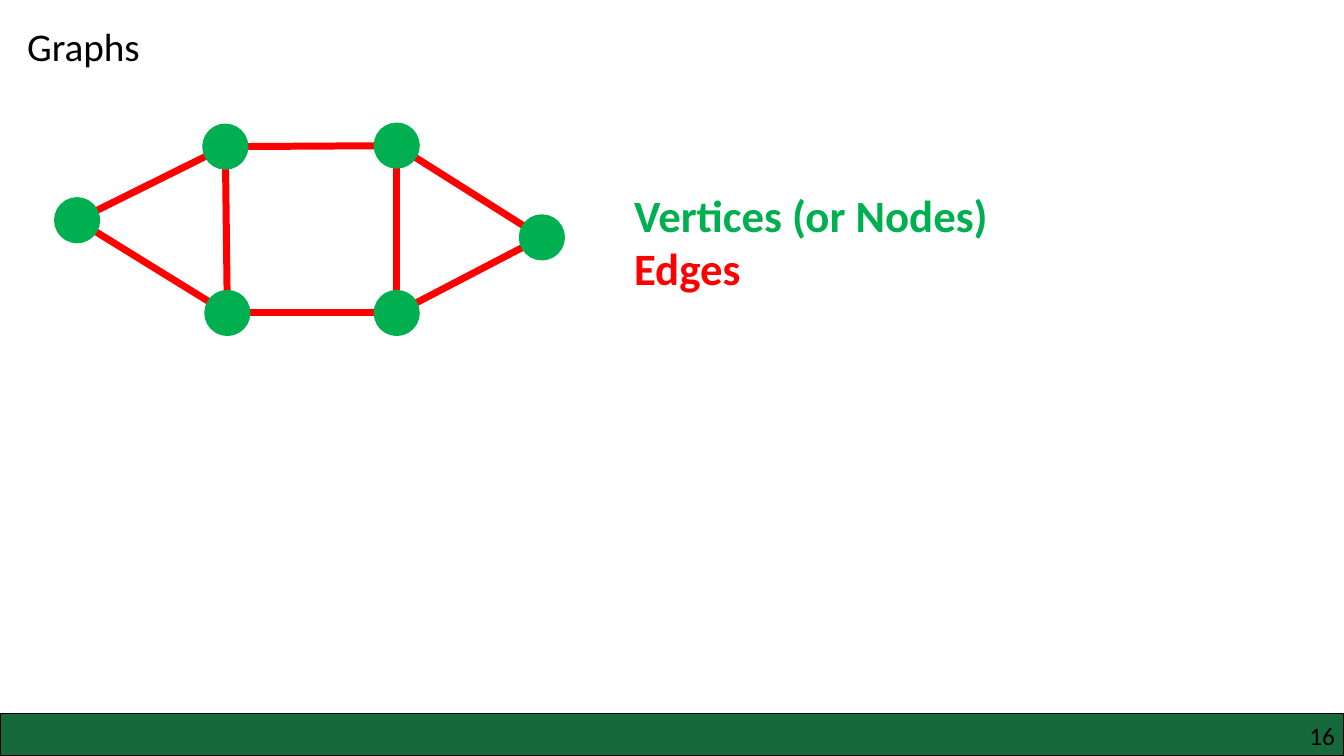
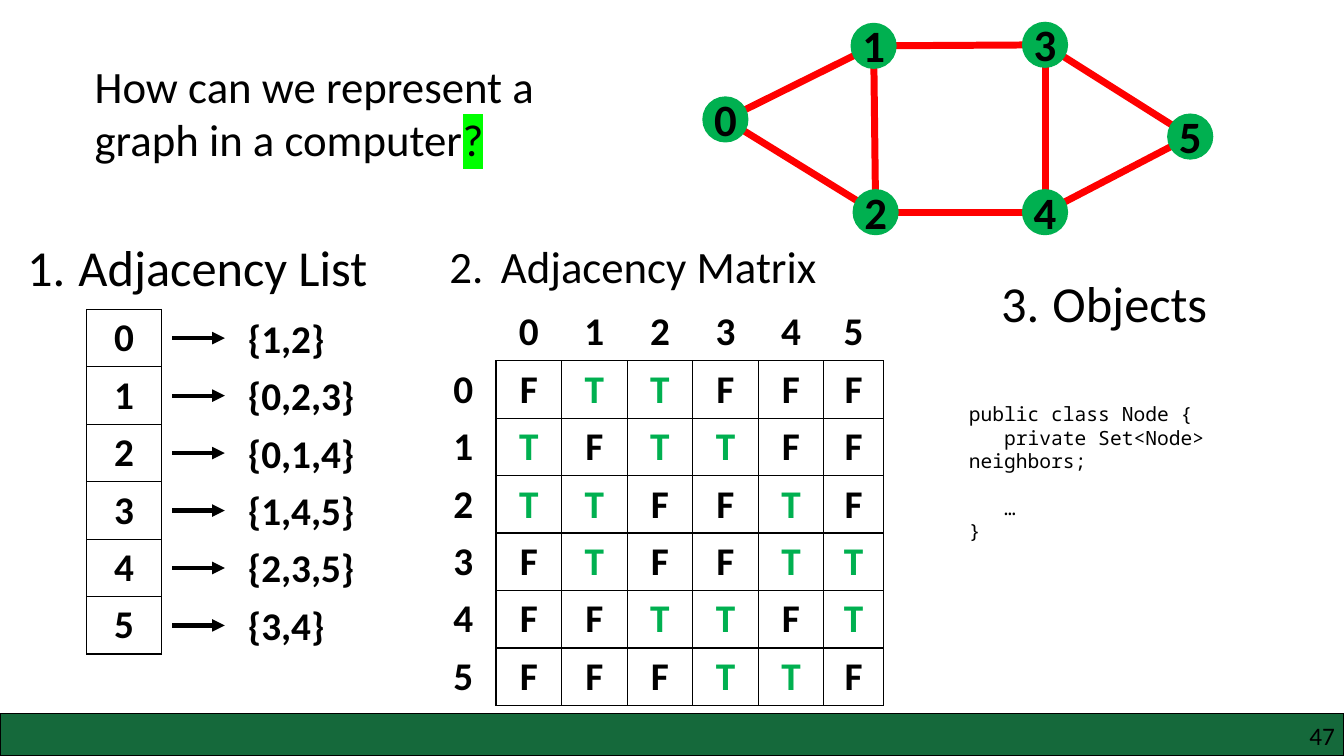
from lxml import etree
from pptx import Presentation
from pptx.dml.color import RGBColor
from pptx.enum.shapes import MSO_CONNECTOR as CONNECTOR, MSO_SHAPE as SHAPE
from pptx.enum.text import PP_ALIGN as ALIGN
from pptx.oxml.ns import qn
from pptx.util import Inches, Pt

BLACK, GREEN, RED = "000000", "00B050", "FF0000"
BAND, HIGHLIGHT = "15693B", "00FF00"
FONT, CODE_FONT = "Calibri", "Noto Sans Mono"
WIDTH, HEIGHT = 13.33, 7.5

NODES = [(0.55, 1.97), (2.02, 1.24), (2.04, 2.89),
         (3.72, 1.23), (3.72, 2.89), (5.16, 2.14)]
NODE_SIZE = 0.43
NEIGHBORS = [(1, 2), (0, 2, 3), (0, 1, 4), (1, 4, 5), (2, 3, 5), (3, 4)]
LABELED_OFFSET = (6.43, -1)

LEGEND = [("Vertices (or Nodes)", GREEN), ("Edges", RED)]
QUESTION = ("How can we represent a graph in a computer", "?")
HEADINGS = [
    ("Adjacency List", 0.17, 2.29, 4.6, 0.71, 36),
    ("Adjacency Matrix", 4.36, 2.32, 4.66, 0.64, 32),
    ("Objects", 9.83, 2.65, 2.78, 0.71, 36),
]
CODE = [
    ("public class Node {", 0),
    ("   private Set<Node> neighbors;", 0),
    ("   …", 16.3),
    ("}", 0),
]
ROW_PITCH = 0.57


def color(value):
    return RGBColor.from_string(value)


def add_run(paragraph, text, size, fill=BLACK, bold=False, name=FONT):
    run = paragraph.add_run()
    run.text = text
    run.font.size = Pt(size)
    run.font.bold = bold
    run.font.name = name
    run.font.color.rgb = color(fill)
    return run


def add_text_frame(shapes, left, top, width, height, wrap=True):
    box = shapes.add_textbox(Inches(left), Inches(top), Inches(width), Inches(height))
    box.text_frame.word_wrap = wrap
    return box.text_frame


def add_line(shapes, start, end, fill, weight):
    points = [Inches(value) for value in (*start, *end)]
    connector = shapes.add_connector(CONNECTOR.STRAIGHT, *points)
    connector.line.color.rgb = color(fill)
    connector.line.width = Pt(weight)
    etree.SubElement(connector._element.spPr, qn("a:effectLst"))
    return connector


def add_filled(shapes, kind, left, top, width, height, fill, line, weight):
    shape = shapes.add_shape(kind, Inches(left), Inches(top), Inches(width), Inches(height))
    shape.shadow.inherit = False
    shape.fill.solid()
    shape.fill.fore_color.rgb = color(fill)
    shape.line.color.rgb = color(line)
    shape.line.width = Pt(weight)


def add_slide(presentation, number):
    slide = presentation.slides.add_slide(presentation.slide_layouts[6])
    add_filled(slide.shapes, SHAPE.RECTANGLE, 0, 7.08, WIDTH, 0.42, BAND, BLACK, 1)
    frame = add_text_frame(slide.shapes, 10.17, 7.15, 3.07, 0.3)
    frame.margin_left = frame.margin_right = frame.margin_top = frame.margin_bottom = 0
    frame.paragraphs[0].alignment = ALIGN.RIGHT
    add_run(frame.paragraphs[0], str(number), 18)
    return slide


def add_graph(slide, offset=(0, 0), labeled=False):
    shapes = slide.shapes.add_group_shape().shapes
    corners = [(x + offset[0], y + offset[1]) for x, y in NODES]
    centers = [(x + NODE_SIZE / 2, y + NODE_SIZE / 2) for x, y in corners]
    for node, neighbors in enumerate(NEIGHBORS):
        for neighbor in neighbors:
            if node < neighbor:
                add_line(shapes, centers[node], centers[neighbor], RED, 5)
    for node, (left, top) in enumerate(corners):
        add_filled(shapes, SHAPE.OVAL, left, top, NODE_SIZE, NODE_SIZE, GREEN, GREEN, 2)
        if labeled:
            frame = add_text_frame(shapes, left, top - 0.11, NODE_SIZE, 0.64)
            frame.paragraphs[0].alignment = ALIGN.CENTER
            add_run(frame.paragraphs[0], str(node), 32, bold=True)


def set_borders(cell, visible_sides):
    properties = cell._tc.get_or_add_tcPr()
    for side in "LRTB":
        line = etree.SubElement(properties, qn(f"a:ln{side}"), w=str(Pt(1)))
        if side in visible_sides:
            fill = etree.SubElement(line, qn("a:solidFill"))
            etree.SubElement(fill, qn("a:srgbClr"), val=BLACK)
        else:
            etree.SubElement(line, qn("a:noFill"))


def add_table(slide, left, top, widths, rows, headers=False):
    table = slide.shapes.add_table(
        len(rows), len(widths), Inches(left), Inches(top),
        Inches(sum(widths)), Inches(ROW_PITCH * len(rows))).table
    table.first_row = table.horz_banding = False
    for column, width in zip(table.columns, widths):
        column.width = Inches(width)
    for i, row in enumerate(rows):
        table.rows[i].height = Inches(ROW_PITCH)
        for j, text in enumerate(row):
            cell = table.cell(i, j)
            sides = "LRTB"
            if headers and i == 0:
                sides = "B" if j else ""
            elif headers and j == 0:
                sides = "R"
            set_borders(cell, sides)
            cell.fill.background()
            paragraph = cell.text_frame.paragraphs[0]
            paragraph.alignment = ALIGN.CENTER
            if text:
                add_run(paragraph, text, 28, GREEN if text == "T" else BLACK, True)


def add_heading(slide, number, text, left, top, width, height, size):
    paragraph = add_text_frame(slide.shapes, left, top, width, height).paragraphs[0]
    properties = paragraph._p.get_or_add_pPr()
    properties.set("marL", str(Inches(0.51)))
    properties.set("indent", str(Inches(-0.51)))
    etree.SubElement(properties, qn("a:buFont"), typeface=FONT)
    etree.SubElement(properties, qn("a:buAutoNum"), type="arabicPeriod", startAt=str(number))
    add_run(paragraph, text, size)


def add_adjacency_list(slide):
    top = 3.07
    add_table(slide, 0.86, top, [0.74], [[str(node)] for node in range(len(NODES))])
    for node, neighbors in enumerate(NEIGHBORS):
        middle = top + ROW_PITCH * (node + 0.5)
        arrow = add_line(slide.shapes, (1.71, middle), (2.23, middle), BLACK, 3)
        etree.SubElement(arrow.line._get_or_add_ln(), qn("a:tailEnd"), type="triangle")
        frame = add_text_frame(slide.shapes, 2.36, middle - 0.29, 1.59, 0.57)
        add_run(frame.paragraphs[0], "{" + ",".join(map(str, neighbors)) + "}", 28, bold=True)


def add_adjacency_matrix(slide):
    nodes = range(len(NODES))
    rows = [[""] + [str(node) for node in nodes]]
    for node, neighbors in enumerate(NEIGHBORS):
        rows.append([str(node)] + ["T" if other in neighbors else "F" for other in nodes])
    add_table(slide, 4.27, 3.01, [0.65] * 6 + [0.59], rows, headers=True)


def add_code(slide):
    frame = add_text_frame(slide.shapes, 9.51, 3.94, 3.82, 1.28)
    for i, (text, gap) in enumerate(CODE):
        paragraph = frame.add_paragraph() if i else frame.paragraphs[0]
        if gap:
            paragraph.space_before = Pt(gap)
        add_run(paragraph, text, 14, name=CODE_FONT)


def build_graphs(presentation):
    slide = add_slide(presentation, 16)
    title = add_text_frame(slide.shapes, 0.17, 0.17, 1.49, 0.57, wrap=False)
    add_run(title.paragraphs[0], "Graphs", 28)
    add_graph(slide)
    frame = add_text_frame(slide.shapes, 6.19, 1.81, 4.91, 1.18)
    for i, (text, fill) in enumerate(LEGEND):
        paragraph = frame.add_paragraph() if i else frame.paragraphs[0]
        add_run(paragraph, text, 32, fill, True)


def build_representations(presentation):
    slide = add_slide(presentation, 47)
    question = add_text_frame(slide.shapes, 0.84, 0.53, 4.97, 1.18).paragraphs[0]
    add_run(question, QUESTION[0], 32)
    mark = add_run(question, QUESTION[1], 32)
    highlight = etree.Element(qn("a:highlight"))
    etree.SubElement(highlight, qn("a:srgbClr"), val=HIGHLIGHT)
    mark._r.rPr.find(qn("a:solidFill")).addnext(highlight)
    add_graph(slide, LABELED_OFFSET, labeled=True)
    for number, heading in enumerate(HEADINGS, 1):
        add_heading(slide, number, *heading)
    add_adjacency_list(slide)
    add_adjacency_matrix(slide)
    add_code(slide)


def main():
    presentation = Presentation()
    presentation.slide_width = Inches(WIDTH)
    presentation.slide_height = Inches(HEIGHT)
    build_graphs(presentation)
    build_representations(presentation)
    presentation.save("out.pptx")


if __name__ == "__main__":
    main()
